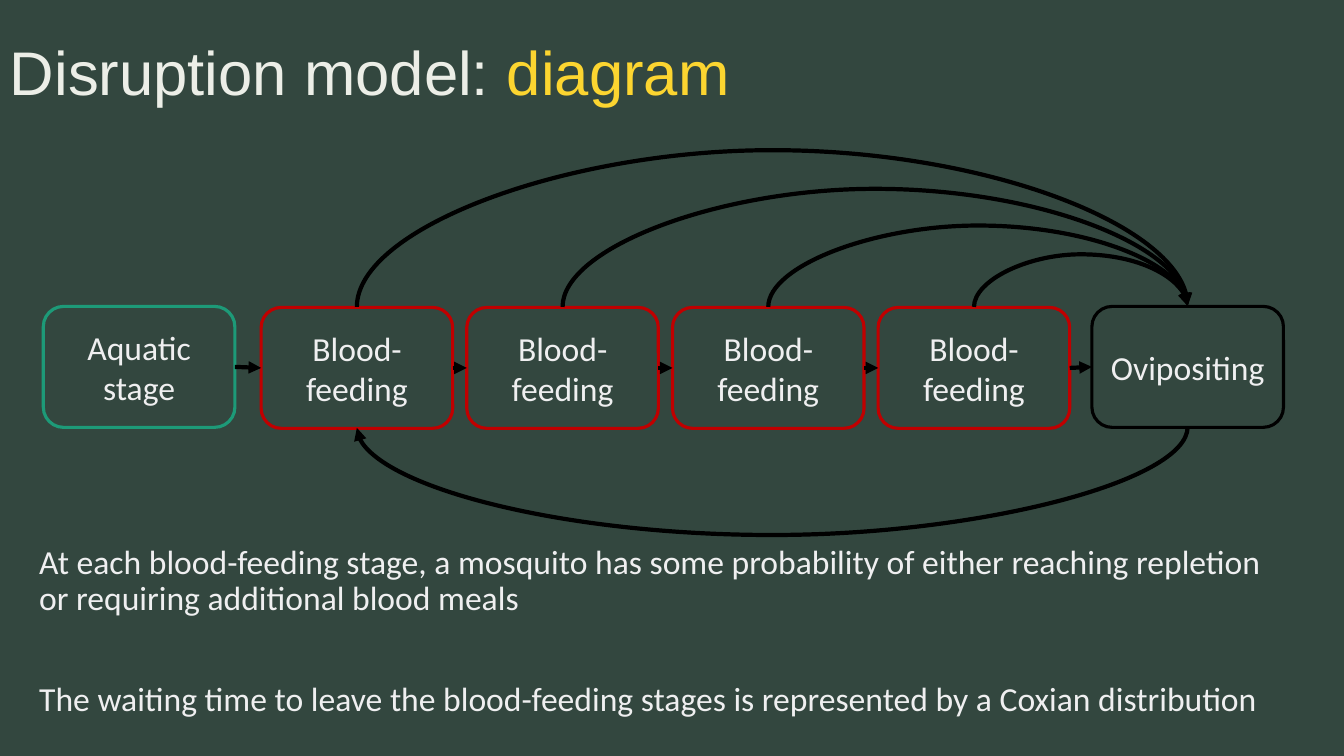
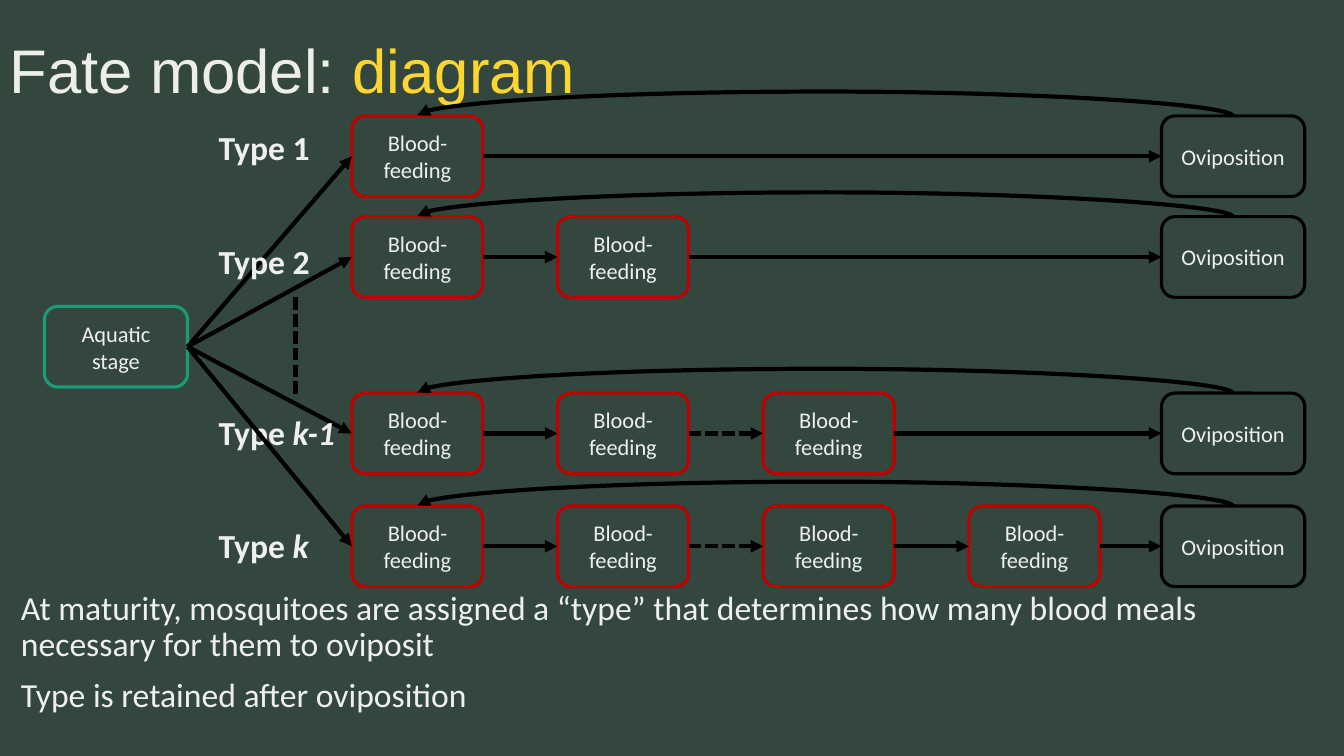
from lxml import etree
from pptx import Presentation
from pptx.dml.color import RGBColor
from pptx.enum.dml import MSO_LINE
from pptx.enum.shapes import MSO_CONNECTOR, MSO_SHAPE
from pptx.enum.text import MSO_ANCHOR, PP_ALIGN
from pptx.oxml.ns import qn
from pptx.util import Inches, Pt

COLORS = {
    "background": "33473F",
    "title": "ECEEE7",
    "accent": "FCD530",
    "text": "EFEFF0",
    "feeding": "C00000",
    "aquatic": "1D9A78",
    "black": "000000",
}
TITLE_FONT, BODY_FONT = "Arial", "Calibri"
STRAIGHT, CURVE = MSO_CONNECTOR.STRAIGHT, MSO_CONNECTOR.CURVE
ROUNDED = MSO_SHAPE.ROUNDED_RECTANGLE
DASHED = MSO_LINE.SQUARE_DOT
TOP, MIDDLE = MSO_ANCHOR.TOP, MSO_ANCHOR.MIDDLE
LEFT, CENTER = PP_ALIGN.LEFT, PP_ALIGN.CENTER
TOP_SITE, LEFT_SITE, BOTTOM_SITE, RIGHT_SITE = range(4)
BOX_STEP = 2.04
ARCH_THICKNESS = 0.01


def color(name):
    return RGBColor.from_string(COLORS[name])


class DiagramDeck:
    def __init__(self):
        self.presentation = Presentation()
        self.presentation.slide_width = Inches(13.33)
        self.presentation.slide_height = Inches(7.5)
        self.slide = None

    def new_slide(self, topic, title_top):
        self.slide = self.presentation.slides.add_slide(self.presentation.slide_layouts[6])
        fill = self.slide.background.fill
        fill.solid()
        fill.fore_color.rgb = color("background")
        frame = self.text_frame(0, title_top, 11.5, 1.45, MIDDLE)
        paragraph = frame.paragraphs[0]
        paragraph.line_spacing = 0.9
        self.run(paragraph, f"{topic}: ", 44, "title", TITLE_FONT)
        self.run(paragraph, "diagram", 44, "accent", TITLE_FONT)

    def text_frame(self, left, top, width, height, anchor=TOP):
        shape = self.slide.shapes.add_textbox(
            Inches(left), Inches(top), Inches(width), Inches(height))
        frame = shape.text_frame
        frame.word_wrap = True
        frame.vertical_anchor = anchor
        return frame

    def run(self, paragraph, text, size, color_name="text", font=BODY_FONT, bold=False, italic=False):
        run = paragraph.add_run()
        run.text = text
        run.font.name = font
        run.font.size = Pt(size)
        run.font.color.rgb = color(color_name)
        run.font.bold = bold
        run.font.italic = italic

    def body(self, left, top, width, height, texts, gap):
        frame = self.text_frame(left, top, width, height)
        for index, text in enumerate(texts):
            paragraph = frame.add_paragraph() if index else frame.paragraphs[0]
            paragraph.line_spacing = 0.9
            paragraph.alignment = LEFT
            if index:
                paragraph.space_before = Pt(gap)
            self.run(paragraph, text, 24)

    def type_label(self, top, number, italic):
        paragraph = self.text_frame(2.07, top, 1.5, 0.5).paragraphs[0]
        self.run(paragraph, "Type ", 24, bold=True)
        self.run(paragraph, number, 24, bold=True, italic=italic)

    def stage(self, text, left, top, width, height, outline, size):
        shape = self.slide.shapes.add_shape(
            ROUNDED, Inches(left), Inches(top), Inches(width), Inches(height))
        shape.shadow.inherit = False
        shape.fill.background()
        shape.line.color.rgb = color(outline)
        shape.line.width = Pt(2.25)
        shape.text_frame.word_wrap = True
        shape.text_frame.vertical_anchor = MIDDLE
        paragraph = shape.text_frame.paragraphs[0]
        paragraph.alignment = CENTER
        self.run(paragraph, text, size)
        return shape

    def line(self, kind=STRAIGHT, ends=(0, 0, 0, 0), arrow="tailEnd", dashed=False):
        connector = self.slide.shapes.add_connector(kind, *[Inches(value) for value in ends])
        connector.line.color.rgb = color("black")
        connector.line.width = Pt(3)
        if dashed:
            connector.line.dash_style = DASHED
        properties = connector._element.spPr
        if arrow:
            etree.SubElement(properties.find(qn("a:ln")), qn(f"a:{arrow}"), type="triangle")
        etree.SubElement(properties, qn("a:effectLst"))
        return connector

    def arrow(self, start, end, dashed=False):
        connector = self.line(dashed=dashed)
        connector.begin_connect(start, RIGHT_SITE)
        connector.end_connect(end, LEFT_SITE)

    def arch(self, start, end, rise, site=TOP_SITE, arrow="tailEnd"):
        connector = self.line(CURVE, arrow=arrow)
        connector.begin_connect(start, site)
        connector.end_connect(end, site)
        start_x = start.left + start.width // 2
        end_x = end.left + end.width // 2
        edge = end.top + (end.height if site == BOTTOM_SITE else 0)
        span = abs(end_x - start_x)
        thickness = Inches(ARCH_THICKNESS)
        connector.left = (start_x + end_x - thickness) // 2
        connector.top = edge - span // 2
        connector.width, connector.height = thickness, span
        rightward = end_x > start_x
        connector.rotation = 90 if rightward else 270
        properties = connector._element.spPr
        transform = properties.find(qn("a:xfrm"))
        transform.set("flipH", "1" if rightward else "0")
        transform.set("flipV", "1")
        geometry = properties.find(qn("a:prstGeom"))
        adjustments = geometry.find(qn("a:avLst"))
        if adjustments is None:
            adjustments = etree.SubElement(geometry, qn("a:avLst"))
        bend = round(rise / ARCH_THICKNESS * 100000)
        etree.SubElement(adjustments, qn("a:gd"), name="adj1", fmla=f"val {bend}")


def disruption_slide(deck):
    deck.new_slide("Disruption model", 0.02)
    deck.body(0.29, 5.36, 12.55, 1.93, [
        "At each blood-feeding stage, a mosquito has some probability of either reaching "
        "repletion or requiring additional blood meals",
        "The waiting time to leave the blood-feeding stages is represented by a Coxian distribution",
    ], gap=46)
    aquatic = deck.stage("Aquatic stage", 0.43, 3.04, 1.9, 1.2, "aquatic", 24)
    feedings = [
        deck.stage("Blood-feeding", 2.59 + BOX_STEP * index, 3.05, 1.9, 1.2, "feeding", 24)
        for index in range(4)
    ]
    ovipositing = deck.stage("Ovipositing", 10.83, 3.04, 1.9, 1.2, "black", 24)
    chain = [aquatic, *feedings, ovipositing]
    for index, (start, end) in enumerate(zip(chain, chain[1:])):
        deck.arrow(start, end, dashed=index == 3)
    for feeding, rise in zip(feedings, (1.58, 1.19, 0.82, 0.53)):
        deck.arch(feeding, ovipositing, rise)
    deck.arch(feedings[0], ovipositing, -1.08, BOTTOM_SITE, "headEnd")


def fate_slide(deck):
    deck.new_slide("Fate model", 0)
    aquatic = deck.stage("Aquatic stage", 0.44, 3.04, 1.42, 0.8, "aquatic", 16)
    rows = [
        (1.15, 1, 1.21, "1", False),
        (2.15, 2, 2.34, "2", False),
        (3.9, 3, 4.04, "k-1", True),
        (5.02, 4, 5.16, "k", True),
    ]
    for top, count, label_top, number, italic in rows:
        feedings = [
            deck.stage("Blood-feeding", 3.49 + BOX_STEP * index, top, 1.3, 0.8, "feeding", 16)
            for index in range(count)
        ]
        oviposition = deck.stage("Oviposition", 11.52, top, 1.42, 0.8, "black", 16)
        chain = [aquatic, *feedings, oviposition]
        for index, (start, end) in enumerate(zip(chain, chain[1:])):
            deck.arrow(start, end, dashed=index == 2 and count > 2)
        deck.arch(oviposition, feedings[0], 0.25)
        deck.type_label(label_top, number, italic)
    deck.line(ends=(2.93, 2.95, 2.93, 3.95), arrow=None, dashed=True)
    deck.body(0.11, 5.82, 12.99, 1.6, [
        "At maturity, mosquitoes are assigned a “type” that determines how many blood meals "
        "necessary for them to oviposit",
        "Type is retained after oviposition",
    ], gap=10)


def main():
    deck = DiagramDeck()
    disruption_slide(deck)
    fate_slide(deck)
    deck.presentation.save("out.pptx")


if __name__ == "__main__":
    main()
